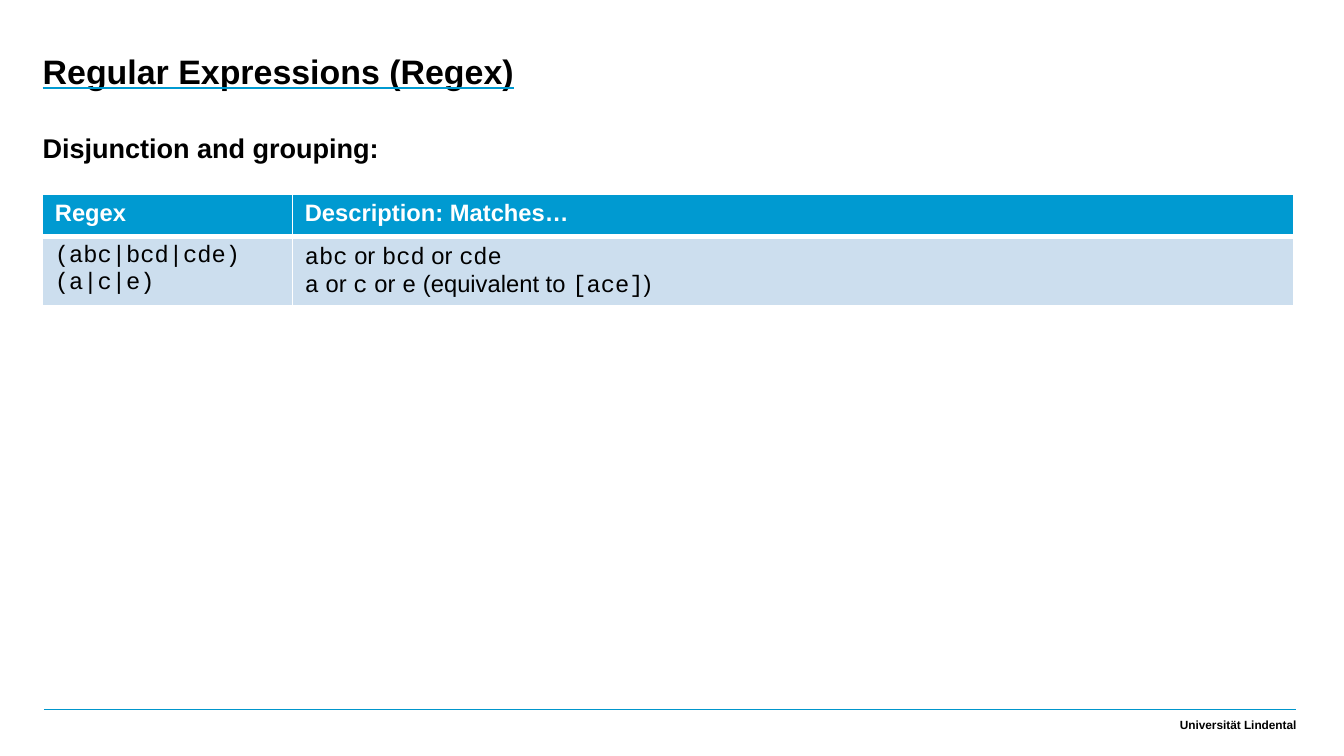
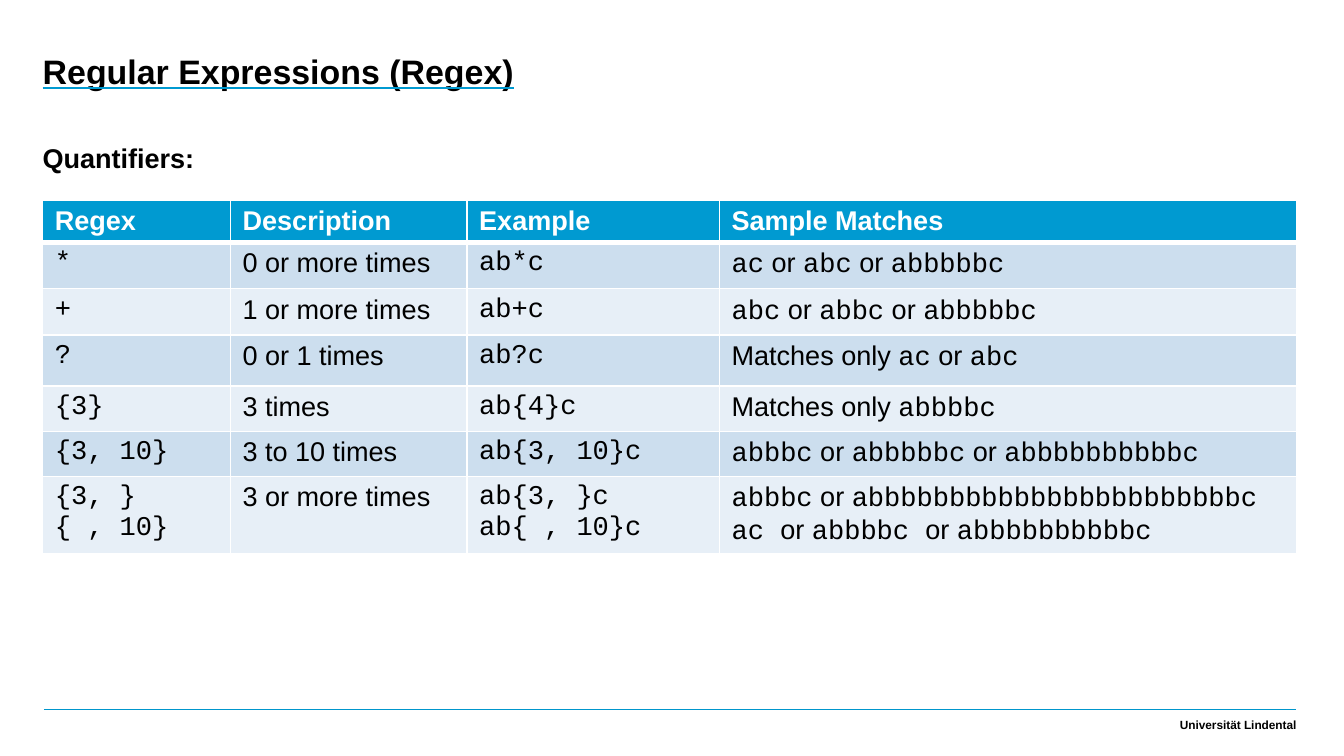
from dataclasses import dataclass

from lxml import etree
from pptx import Presentation, util as u
from pptx.dml.color import RGBColor
from pptx.enum import shapes, text
from pptx.oxml import ns


@dataclass(frozen=True)
class Theme:
    sans: str = "Arial"
    mono: str = "Courier New"
    black: RGBColor = RGBColor(0, 0, 0)
    white: RGBColor = RGBColor(255, 255, 255)
    rule: RGBColor = RGBColor(0x00, 0x96, 0xCC)
    header: RGBColor = RGBColor(0x00, 0x9A, 0xD1)
    bands: tuple = (RGBColor(0xCC, 0xDE, 0xEE), RGBColor(0xE7, 0xEF, 0xF7))
    title_size: int = 20
    heading_size: int = 16
    footer_size: int = 7
    left: float = 0.35
    right: float = 10.63


theme = Theme()


def style(run, size, color=theme.black, bold=False, name=theme.sans):
    run.font.size = u.Pt(size)
    run.font.color.rgb = color
    run.font.bold = bold
    run.font.name = name


def add_xml(parent, tag, **attributes):
    return etree.SubElement(parent, ns.qn(tag), attributes)


# Content: backticks enclose code, line breaks separate paragraphs
lessons = [
    {
        "heading": "Disjunction and grouping:",
        "heading_top": 1.05,
        "table_top": 1.59,
        "size": 14,
        "columns": [2.05, 8.21],
        "heights": [0.35, 0.56],
        "rows": [
            ["Regex", "Description: Matches…"],
            ["`(abc|bcd|cde)`\n`(a|c|e)`",
             "`abc` or `bcd` or `cde`\n`a` or `c` or `e` (equivalent to `[ace]`)"],
        ],
    },
    {
        "heading": "Quantifiers:",
        "heading_top": 1.13,
        "table_top": 1.64,
        "size": 16,
        "columns": [1.54, 1.94, 2.07, 4.73],
        "heights": [0.34, 0.38, 0.38, 0.42, 0.37, 0.37, 0.63],
        "rows": [
            ["Regex", "Description", "Example", "Sample Matches"],
            ["`*`", "0 or more times", "`ab*c`", "`ac` or `abc` or `abbbbbc`"],
            ["`+`", "1 or more times", "`ab+c`", "`abc` or `abbc` or `abbbbbc`"],
            ["`?`", "0 or 1 times", "`ab?c`", "Matches only `ac` or `abc`"],
            ["`{3}`", "3 times", "`ab{4}c`", "Matches only `abbbbc`"],
            ["`{3, 10}`", "3 to 10 times", "`ab{3, 10}c`",
             "`abbbc` or `abbbbbc` or `abbbbbbbbbbc`"],
            ["`{3, }`\n`{ , 10}`", "3 or more times", "`ab{3, }c`\n`ab{ , 10}c`",
             "`abbbc` or `abbbbbbbbbbbbbbbbbbbbbbbc`\n"
             "`ac `or `abbbbc `or `abbbbbbbbbbc`"],
        ],
    },
]

deck = Presentation()
deck.slide_width, deck.slide_height = u.Inches(11.02), u.Inches(6.2)
layout = deck.slide_layouts[1]

# The layout keeps only its title and body placeholders
for placeholder in list(layout.placeholders)[2:]:
    layout.shapes.element.remove(placeholder.element)

slides = [deck.slides.add_slide(layout) for lesson in lessons]

# Shared footer, moved from the first slide to the layout
footer_rule = slides[0].shapes.add_connector(
    shapes.MSO_CONNECTOR.STRAIGHT, u.Inches(0.36), u.Inches(5.82),
    u.Inches(theme.right), u.Inches(5.82))
footer_rule.line.color.rgb = theme.rule
footer_rule.line.width = u.Pt(1)
add_xml(footer_rule.element.spPr, "a:effectLst")

footer = slides[0].shapes.add_textbox(
    u.Inches(8.03), u.Inches(5.82), u.Inches(2.6), u.Inches(0.24))
footer_frame = footer.text_frame
footer_frame.word_wrap = True
footer_frame.vertical_anchor = text.MSO_ANCHOR.BOTTOM
footer_frame.margin_left = footer_frame.margin_right = footer_frame.margin_top = 0
footer_frame.margin_bottom = u.Inches(0.06)
footer_frame.text = "Universität Lindental"
footer_frame.paragraphs[0].alignment = text.PP_ALIGN.RIGHT
style(footer_frame.paragraphs[0].runs[0], theme.footer_size, bold=True)

for part in (footer_rule, footer):
    layout.shapes.element.append(part.element)

for slide, lesson in zip(slides, lessons):
    # Title and heading
    title, heading = slide.placeholders
    title.text_frame.text = "Regular Expressions (Regex)"
    heading.text_frame.text = lesson["heading"]
    for part, top, width, height, size, spacing in (
        (title, 0.44, 6.93, 0.87, theme.title_size, 0.95),
        (heading, lesson["heading_top"], 9.29, 4.09, theme.heading_size, 1.1),
    ):
        part.left, part.top = u.Inches(theme.left), u.Inches(top)
        part.width, part.height = u.Inches(width), u.Inches(height)
        frame = part.text_frame
        frame.auto_size = text.MSO_AUTO_SIZE.NONE
        frame.vertical_anchor = text.MSO_ANCHOR.TOP
        frame.margin_left = frame.margin_right = 0
        frame.margin_top = frame.margin_bottom = 0
        paragraph = frame.paragraphs[0]
        paragraph.alignment = text.PP_ALIGN.LEFT
        paragraph.line_spacing = spacing
        paragraph.space_before = u.Pt(0)
        properties = paragraph._p.get_or_add_pPr()
        properties.set("marL", "0")
        properties.set("indent", "0")
        add_xml(properties, "a:buNone")
        style(paragraph.runs[0], size, bold=True)

    # Blue underline of the title
    title_font = title.text_frame.paragraphs[0].runs[0].font
    title_font.underline = True
    underline = etree.Element(ns.qn("a:uFill"))
    add_xml(add_xml(underline, "a:solidFill"), "a:srgbClr", val=str(theme.header))
    title_font._element.find(ns.qn("a:solidFill")).addnext(underline)

    # Regex table
    rows, columns = lesson["rows"], lesson["columns"]
    table = slide.shapes.add_table(
        len(rows), len(columns), u.Inches(theme.left), u.Inches(lesson["table_top"]),
        u.Inches(sum(columns)), u.Inches(sum(lesson["heights"]))).table
    for column, width in zip(table.columns, columns):
        column.width = u.Inches(width)

    for r, row in enumerate(rows):
        table.rows[r].height = u.Inches(lesson["heights"][r])
        is_header = r == 0
        for c, content in enumerate(row):
            cell = table.cell(r, c)

            # White borders, thicker below the header
            borders = {"L": 1, "R": 1, "T": 3 if r == 1 else 1, "B": 3 if is_header else 1}
            for side, points in borders.items():
                line = add_xml(cell._tc.get_or_add_tcPr(), f"a:ln{side}", w=str(u.Pt(points)))
                add_xml(add_xml(line, "a:solidFill"), "a:srgbClr", val=str(theme.white))
            cell.fill.solid()
            cell.fill.fore_color.rgb = theme.header if is_header else theme.bands[(r - 1) % 2]

            # Alternating plain and code runs
            cell.text_frame.text = "\n".join("" for _ in content.split("\n"))
            for paragraph, sentence in zip(cell.text_frame.paragraphs, content.split("\n")):
                for i, piece in enumerate(sentence.split("`")):
                    if piece:
                        run = paragraph.add_run()
                        run.text = piece
                        style(run, lesson["size"], theme.white if is_header else theme.black,
                              is_header, theme.mono if i % 2 else theme.sans)

deck.save("out.pptx")
